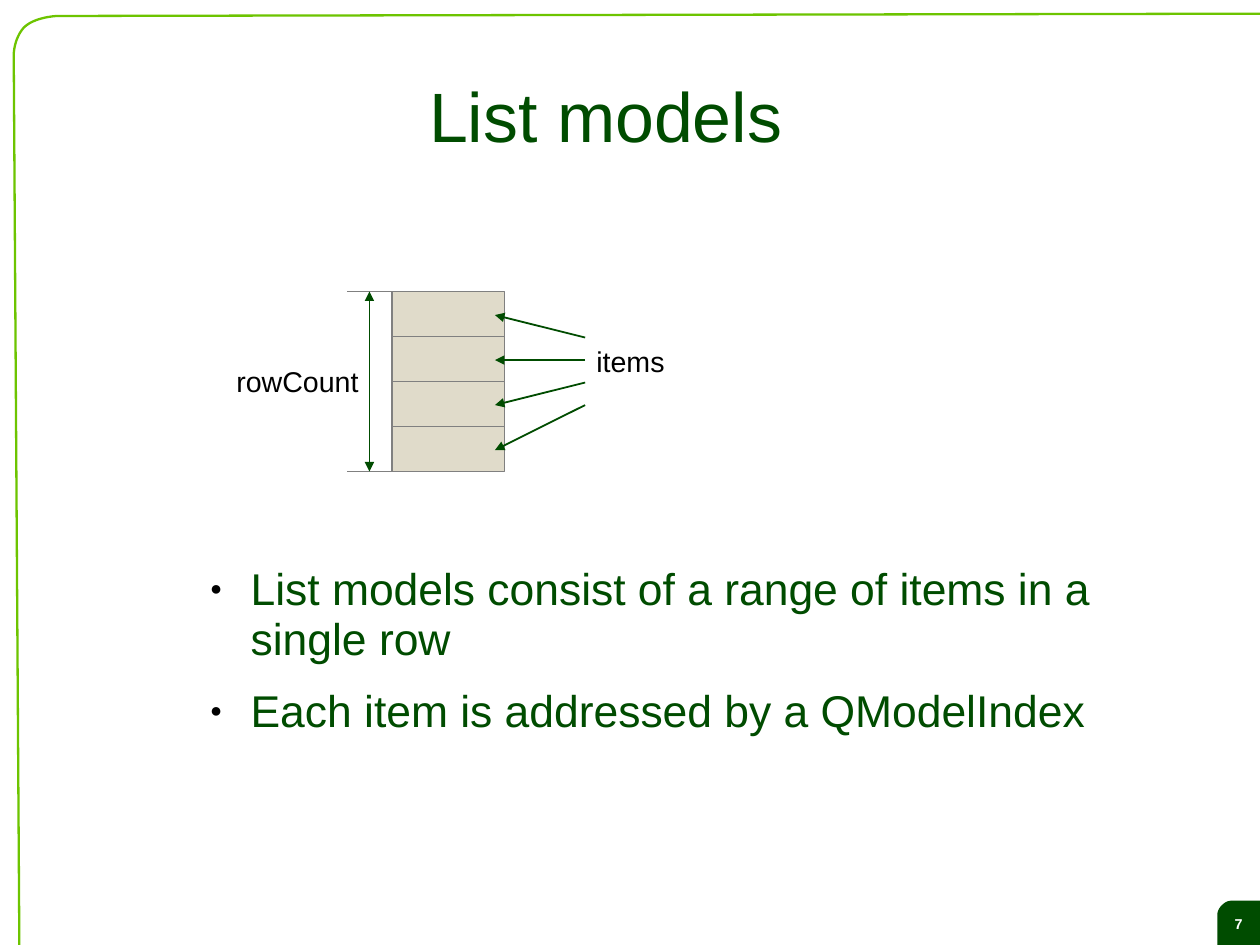
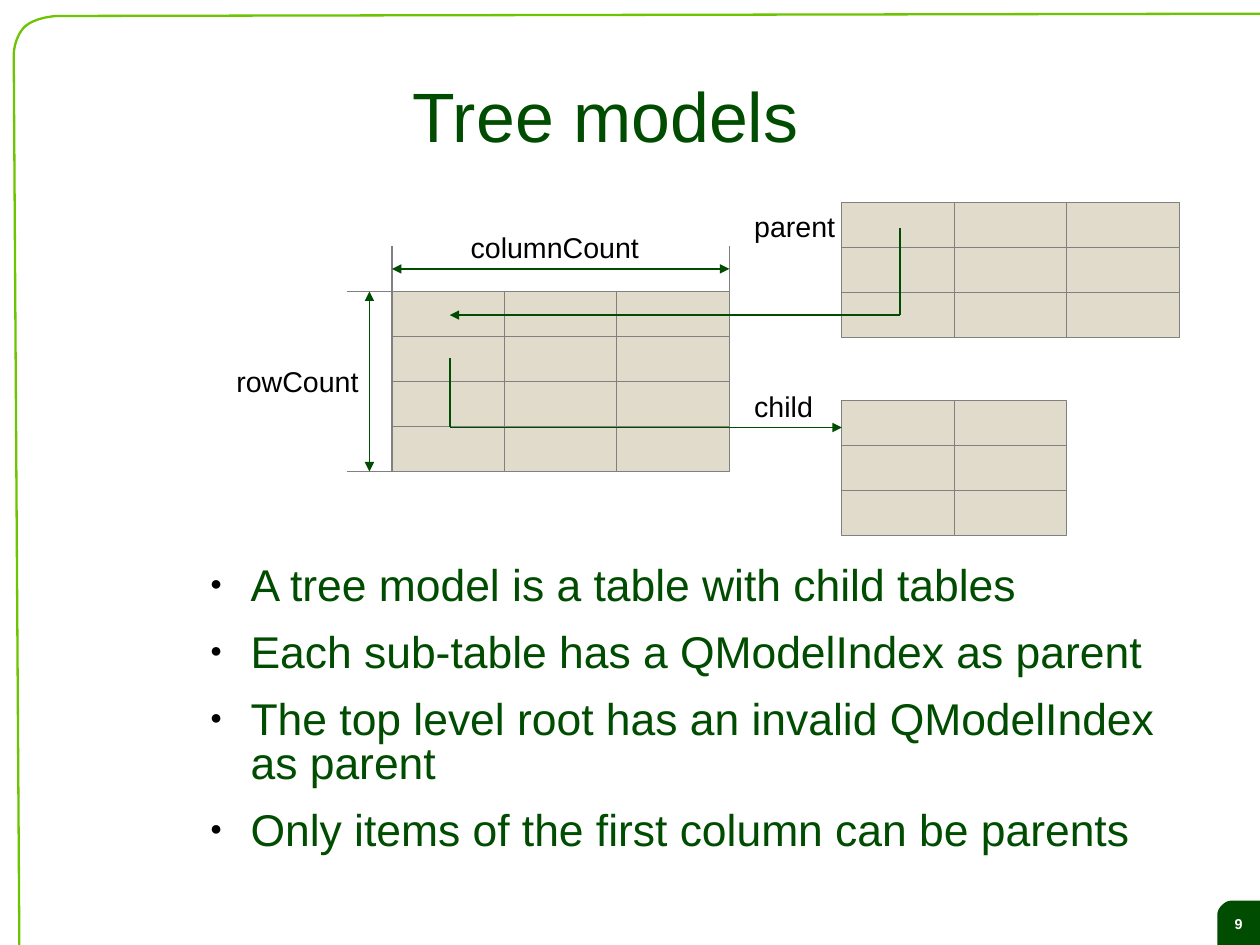
import pptx
import pptx.dml.color
import pptx.enum.shapes
import pptx.enum.text
import pptx.oxml
import pptx.oxml.ns
import pptx.util
import lxml.etree

Pt = pptx.util.Pt
RGB = pptx.dml.color.RGBColor
ALIGN = pptx.enum.text.PP_ALIGN
ANCHOR = pptx.enum.text.MSO_ANCHOR

DARK_GREEN = RGB(0x00, 0x4C, 0x00)
LIME = RGB(0x6D, 0xC4, 0x00)
SAND = RGB(0xE0, 0xDB, 0xCA)
GREY = RGB(0x80, 0x80, 0x80)
BLACK = RGB(0x00, 0x00, 0x00)
WHITE = RGB(0xFF, 0xFF, 0xFF)

SLIDE_W, SLIDE_H = 793.7, 595.3
CELL_W, CELL_H = 70.85, 28.35
GRID_LEFT, GRID_TOP = 246.9, 183.6
GRID_ROWS = 4
SIDE_LEFT = GRID_LEFT + 4 * CELL_W
BODY_LEFT, BODY_TOP, BODY_W = 123.9, 354.3, 633


def curve(start, control_1, control_2, end, steps=12):
    """Return points along a cubic Bezier curve, without its start."""
    points = []
    for step in range(1, steps + 1):
        t = step / steps
        weights = ((1 - t) ** 3, 3 * t * (1 - t) ** 2, 3 * t * t * (1 - t), t ** 3)
        corners = (start, control_1, control_2, end)
        points.append(tuple(sum(w * c[axis] for w, c in zip(weights, corners))
                            for axis in (0, 1)))
    return points


FRAME = ([(12.2, SLIDE_H), (8.64, 34.6)]
         + curve((8.64, 34.6), (8.64, 34.6), (8.64, 24.5), (15.1, 17.3))
         + curve((15.1, 17.3), (21.6, 10.8), (35.3, 10.1), (36, 10.1))
         + [(SLIDE_W, 8.64)])
BADGE = ([(766.8, SLIDE_H), (766.8, 576.7)]
         + curve((766.8, 576.7), (766.8, 576), (766.8, 573.1), (769.7, 570.2))
         + curve((769.7, 570.2), (772.6, 567.4), (774.7, 567.4), (776.9, 567.4))
         + [(SLIDE_W, 567.4), (SLIDE_W, SLIDE_H)])


class Deck:
    """Holds the shared style and the slide being drawn."""

    def __init__(self):
        """Start an empty presentation of the right size."""
        self.show = pptx.Presentation()
        self.show.slide_width, self.show.slide_height = Pt(SLIDE_W), Pt(SLIDE_H)
        self.shapes = None

    def new_slide(self, title, number):
        """Add a slide with its frame, numbered badge and title."""
        self.shapes = self.show.slides.add_slide(self.show.slide_layouts[5]).shapes
        badge = self.outline(BADGE, closed=True)
        badge.fill.solid()
        badge.fill.fore_color.rgb = DARK_GREEN
        badge.line.fill.background()
        self.set_text(badge.text_frame, [number], 9, WHITE, align=ALIGN.CENTER,
                      anchor=ANCHOR.MIDDLE, insets=(0, 2.5, 0, 0))
        badge.text_frame.paragraphs[0].font.bold = True

        frame = self.outline(FRAME, closed=False)
        frame.fill.background()
        frame.line.color.rgb, frame.line.width = LIME, Pt(1.45)

        heading = self.shapes.title
        heading.left, heading.top = Pt(BODY_LEFT), Pt(24)
        heading.width, heading.height = Pt(515.5), Pt(99)
        self.set_text(heading.text_frame, [title], 44, DARK_GREEN, align=ALIGN.CENTER,
                      anchor=ANCHOR.MIDDLE, insets=(0, 2.9, 0, 0))

    def outline(self, points, closed):
        """Draw a freeform through the points."""
        vertices = [(Pt(x), Pt(y)) for x, y in points]
        builder = self.shapes.build_freeform(*vertices[0])
        builder.add_line_segments(vertices[1:], close=closed)
        shape = builder.convert_to_shape()
        shape.shadow.inherit = False
        return shape

    def set_text(self, text_frame, lines, size, color, align=ALIGN.LEFT,
                 anchor=ANCHOR.TOP, insets=(0, 0, 0, 0), spacing=0.93, wrap=True):
        """Fill a text frame with one paragraph per line, in one style."""
        text_frame.text = "\n".join(lines)
        text_frame.word_wrap = wrap
        text_frame.auto_size = pptx.enum.text.MSO_AUTO_SIZE.NONE
        text_frame.vertical_anchor = anchor
        (text_frame.margin_left, text_frame.margin_top,
         text_frame.margin_right, text_frame.margin_bottom) = map(Pt, insets)
        for paragraph in text_frame.paragraphs:
            paragraph.alignment, paragraph.line_spacing = align, spacing
            font = paragraph.font
            font.name, font.size, font.color.rgb = "Arial", Pt(size), color

    def label(self, text, left, top, width):
        """Add a one-line diagram label."""
        box = self.shapes.add_textbox(Pt(left), Pt(top), Pt(width), Pt(27.4))
        self.set_text(box.text_frame, [text], 18, BLACK,
                      insets=(7.1, 4.9, 7.1, 3.5), wrap=False)

    def bullets(self, lines, height, spacing):
        """Add the bulleted body text."""
        body = self.shapes.add_textbox(Pt(BODY_LEFT), Pt(BODY_TOP), Pt(BODY_W), Pt(height))
        self.set_text(body.text_frame, lines, 28, DARK_GREEN,
                      insets=(0, 2.2, 0, 0), spacing=spacing)
        for paragraph in body.text_frame.paragraphs:
            paragraph.space_after = Pt(14.3)
            properties = paragraph._p.get_or_add_pPr()
            properties.set("marL", str(int(Pt(34))))
            properties.set("indent", str(int(Pt(-25.5))))
            marks = pptx.oxml.parse_xml(
                "<a:pPr %s><a:buClr><a:srgbClr val='%s'/></a:buClr>"
                "<a:buSzPct val='45000'/><a:buFont typeface='Arial'/>"
                "<a:buChar char='\u25cf'/></a:pPr>"
                % (pptx.oxml.ns.nsdecls("a"), BLACK))
            after = properties.find(pptx.oxml.ns.qn("a:spcAft"))
            for mark in reversed(list(marks)):
                after.addnext(mark)

    def grid(self, left, top, rows, columns):
        """Draw a block of model cells."""
        for row in range(rows):
            for column in range(columns):
                cell = self.shapes.add_shape(
                    pptx.enum.shapes.MSO_SHAPE.RECTANGLE,
                    Pt(left + column * CELL_W), Pt(top + row * CELL_H),
                    Pt(CELL_W), Pt(CELL_H))
                cell.shadow.inherit = False
                cell.fill.solid()
                cell.fill.fore_color.rgb = SAND
                cell.line.color.rgb, cell.line.width = GREY, Pt(0.74)

    def line(self, start, end, color=DARK_GREEN, width=1.13, ends=()):
        """Draw a straight line; ends lists headEnd and tailEnd arrowheads."""
        connector = self.shapes.add_connector(
            pptx.enum.shapes.MSO_CONNECTOR.STRAIGHT, *map(Pt, start + end))
        connector.line.color.rgb, connector.line.width = color, Pt(width)
        qn = pptx.oxml.ns.qn
        outline = connector._element.spPr.find(qn("a:ln"))
        for arrowhead in ends:
            lxml.etree.SubElement(outline, qn("a:" + arrowhead), type="triangle")
        lxml.etree.SubElement(connector._element.spPr, qn("a:effectLst"))

    def bent_arrow(self, start, end):
        """Draw an arrow that runs vertically, then horizontally."""
        corner = (start[0], end[1])
        self.line(start, corner)
        self.line(corner, end, ends=("tailEnd",))

    def dimension(self, start, end, offset):
        """Measure start to end with two ticks and a double arrow, offset (x, y)."""
        for x, y in (start, end):
            self.line((x, y), (x + offset[0], y + offset[1]), GREY, 0.74)
        middle = [(x + offset[0] / 2, y + offset[1] / 2) for x, y in (start, end)]
        self.line(*middle, ends=("headEnd", "tailEnd"))

    def model(self, columns):
        """Draw the main grid with its row count."""
        self.grid(GRID_LEFT, GRID_TOP, GRID_ROWS, columns)
        self.dimension((GRID_LEFT, GRID_TOP),
                       (GRID_LEFT, GRID_TOP + GRID_ROWS * CELL_H), (-CELL_H, 0))
        self.label("rowCount", 141.8, 226.1, 90.7)


def list_models(deck):
    """Build the slide on list models."""
    deck.new_slide("List models", "7")
    deck.model(columns=1)
    for row in range(GRID_ROWS):
        deck.line((368.6, GRID_TOP + (1 + row / 2) * CELL_H + 0.7),
                  (311.8, GRID_TOP + (row + 0.5) * CELL_H + 0.7), ends=("tailEnd",))
    deck.label("items", 368.6, 213.8, 57.6)
    deck.bullets(["List models consist of a range of items in a single row",
                  "Each item is addressed by a QModelIndex"], 166.3, 0.93)


def tree_models(deck):
    """Build the slide on tree models."""
    deck.new_slide("Tree models", "9")
    deck.bullets(["A tree model is a table with child tables",
                  "Each sub-table has a QModelIndex as parent",
                  "The top level root has an invalid QModelIndex as parent",
                  "Only items of the first column can be parents"], 198.7, 0.83)
    deck.model(columns=3)
    deck.dimension((GRID_LEFT, GRID_TOP), (GRID_LEFT + 3 * CELL_W, GRID_TOP), (0, -CELL_H))
    deck.label("columnCount", 289.4, 141.8, 120.2)
    deck.grid(SIDE_LEFT, 127.6, 3, 3)
    deck.label("parent", 468, 128.9, 64.8)
    deck.bent_arrow((566.9, 143.5), (283.3, 198.5))
    deck.grid(SIDE_LEFT, 252.3, 3, 2)
    deck.label("child", 468, 241.9, 51.1)
    deck.bent_arrow((283.5, 225.8), (SIDE_LEFT, 269.3))


deck = Deck()
list_models(deck)
tree_models(deck)
deck.show.save("out.pptx")
